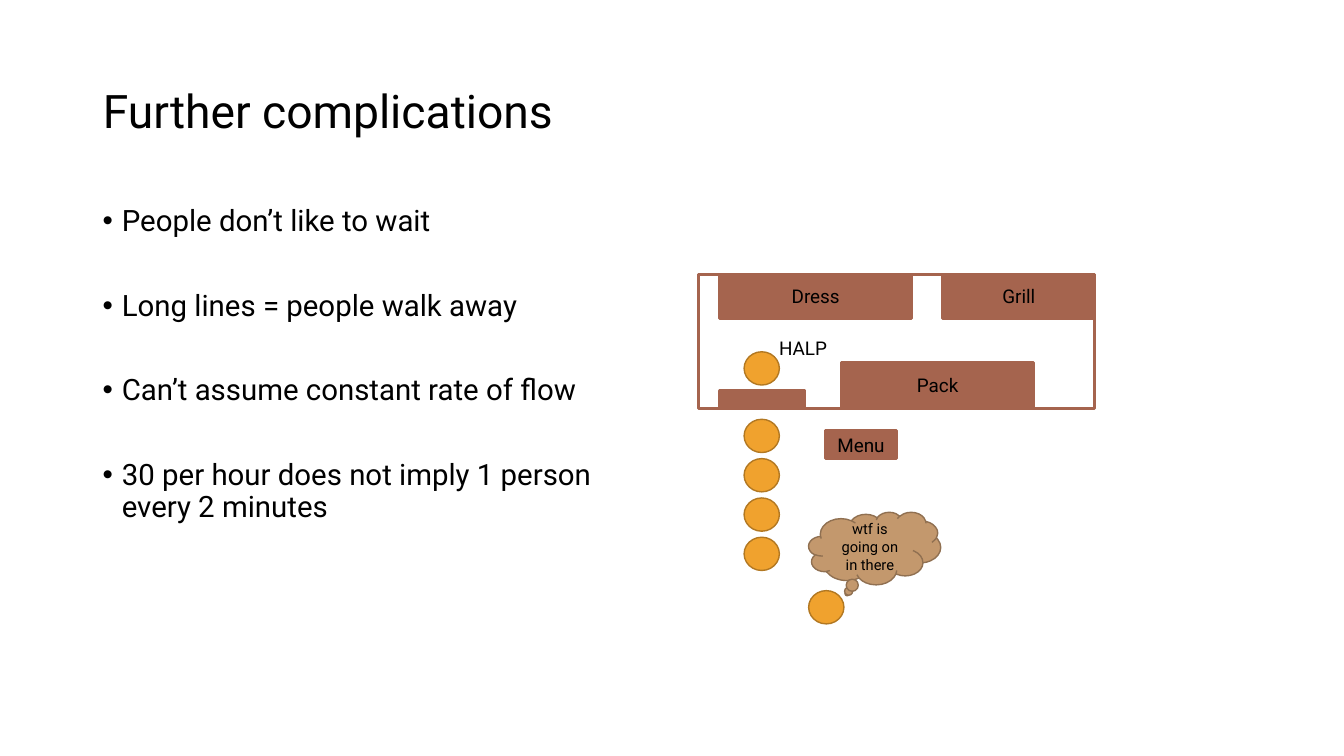
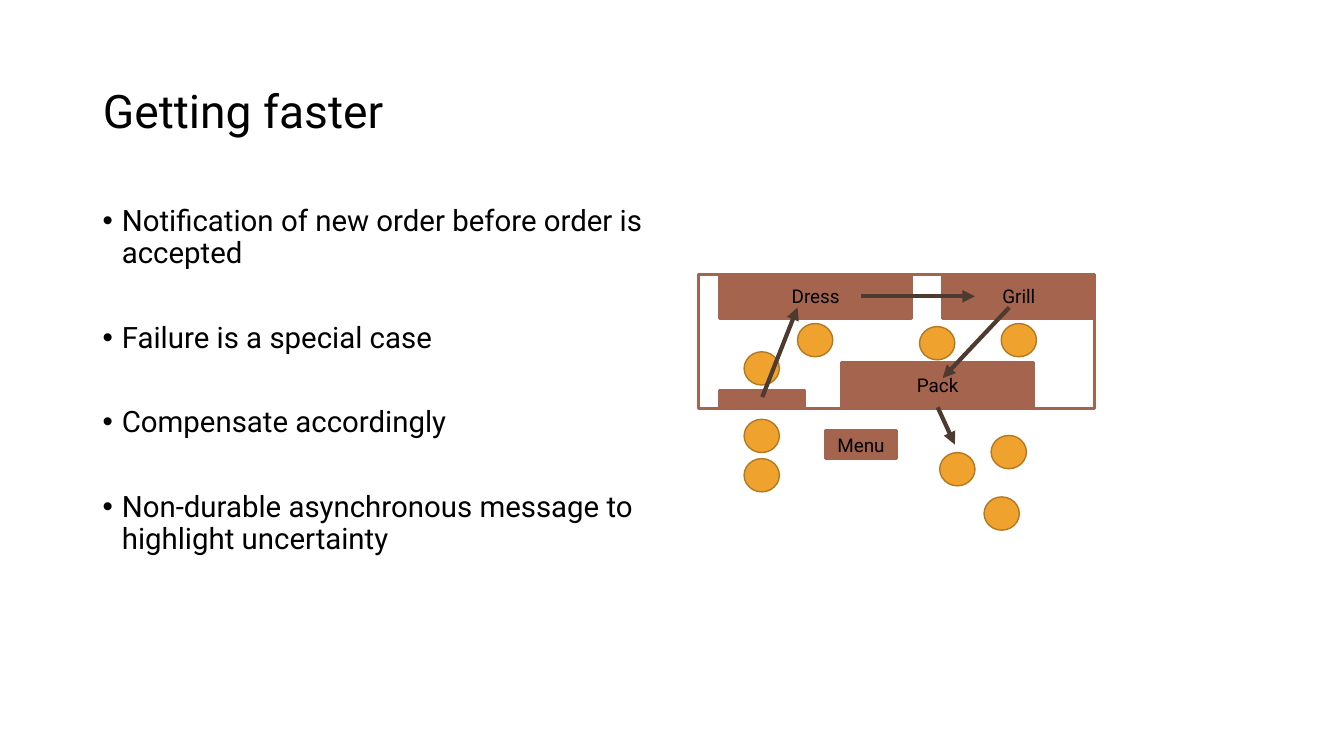
"""Build two slides about queues and messages in a burger kitchen."""
from lxml.etree import SubElement
from pptx import Presentation
from pptx.dml.color import RGBColor
from pptx.enum.shapes import MSO_CONNECTOR, MSO_SHAPE
from pptx.enum.text import MSO_ANCHOR, MSO_AUTO_SIZE, PP_ALIGN
from pptx.oxml.ns import qn
from pptx.util import Inches, Pt

FONT = "Roboto"
COLORS = {
    "text": "000000",
    "floor": "FFFFFF",
    "station": "A5644E",
    "person": "F0A22E",
    "person_edge": "B27822",
    "thought": "C3986D",
    "thought_edge": "907051",
    "arrow": "4E3B30",
}
QUEUE_LEFT, QUEUE_TOP, QUEUE_STEP = 7.38, 4.16, 0.39
STATIONS = {
    "Dress": (7.14, 2.72, 1.9, 0.44),
    "Pack": (8.35, 3.6, 1.9, 0.44),
    "Grill": (9.35, 2.72, 1.51, 0.44),
    "Menu": (8.19, 4.27, 0.7, 0.28),
}


def color(name):
    """Return the named colour."""
    return RGBColor.from_string(COLORS[name])


def write(frame, paragraphs, size, align=PP_ALIGN.LEFT, anchor=MSO_ANCHOR.TOP,
          spacing=None, gap=0, bullet=False, wrap=True):
    """Fill a text frame with formatted paragraphs."""
    frame.auto_size = MSO_AUTO_SIZE.NONE
    frame.word_wrap = wrap
    frame.vertical_anchor = anchor
    for index, text in enumerate(paragraphs):
        para = frame.add_paragraph() if index else frame.paragraphs[0]
        para.alignment = align
        if spacing:
            para.line_spacing = spacing
        if index and gap:
            para.space_before = Pt(gap)
        if bullet:
            add_bullet(para)
        span = para.add_run()
        span.text = text
        span.font.name = FONT
        span.font.size = Pt(size)
        span.font.color.rgb = color("text")


def add_bullet(para):
    """Give a paragraph a hanging round bullet."""
    properties = para._p.get_or_add_pPr()
    properties.set("marL", str(Inches(0.19)))
    properties.set("indent", str(Inches(-0.19)))
    SubElement(properties, qn("a:buFont"), typeface="Arial")
    SubElement(properties, qn("a:buChar"), char="•")


def add_text(page, place, paragraphs, **style):
    """Add a text box."""
    box = page.shapes.add_textbox(*map(Inches, place))
    write(box.text_frame, paragraphs, **style)


def add_box(page, kind, place, fill, edge, weight=1, text="", size=13.5):
    """Add a filled and outlined shape with an optional centred label."""
    box = page.shapes.add_shape(kind, *map(Inches, place))
    box.shadow.inherit = False
    box.fill.solid()
    box.fill.fore_color.rgb = color(fill)
    box.line.color.rgb = color(edge)
    box.line.width = Pt(weight)
    if text:
        write(box.text_frame, [text], size, PP_ALIGN.CENTER, MSO_ANCHOR.MIDDLE)
    return box


def add_station(page, place, fill="station", text=""):
    """Add a rectangle of the kitchen plan."""
    return add_box(page, MSO_SHAPE.RECTANGLE, place, fill, "station", 2.25, text)


def add_person(page, left, top):
    """Add a circle that stands for a person."""
    add_box(page, MSO_SHAPE.OVAL, (left, top, 0.35, 0.33), "person", "person_edge")


def add_arrow(page, start, end, source=None):
    """Add an arrow, joined to the bottom of the source if there is one."""
    arrow = page.shapes.add_connector(MSO_CONNECTOR.STRAIGHT, *map(Inches, start + end))
    if source is not None:
        arrow.begin_connect(source, 2)
    arrow.line.color.rgb = color("arrow")
    arrow.line.width = Pt(3)
    SubElement(arrow.line._get_or_add_ln(), qn("a:tailEnd"), type="triangle")
    SubElement(arrow._element.spPr, qn("a:effectLst"))


def add_page(deck, title, bullets):
    """Add a slide with its title and bullets."""
    page = deck.slides.add_slide(deck.slide_layouts[5])
    heading = page.shapes.title
    heading.left, heading.top, heading.width, heading.height = map(
        Inches, (0.92, 0.4, 11.5, 1.45))
    write(heading.text_frame, [title], 33, anchor=MSO_ANCHOR.MIDDLE, spacing=0.9)
    add_text(page, (0.92, 2, 5.67, 4.76), bullets, size=21, spacing=0.9,
             gap=37.7, bullet=True)
    return page


def add_kitchen(page, queue_length):
    """Draw the kitchen, its cashier and the queue; return the stations."""
    add_station(page, (6.93, 2.72, 3.93, 1.33), fill="floor")
    add_station(page, (7.14, 3.88, 0.84, 0.17))
    add_person(page, QUEUE_LEFT, 3.49)
    for position in range(queue_length):
        add_person(page, QUEUE_LEFT, QUEUE_TOP + position * QUEUE_STEP)
    return {name: add_station(page, place, text=name)
            for name, place in STATIONS.items()}


def add_complications(deck):
    """Add the slide with the long queue."""
    page = add_page(deck, "Further complications", [
        "People don’t like to wait",
        "Long lines = people walk away",
        "Can’t assume constant rate of flow",
        "30 per hour does not imply 1 person every 2 minutes",
    ])
    add_kitchen(page, queue_length=4)
    add_person(page, 8.02, 5.86)
    add_box(page, MSO_SHAPE.CLOUD_CALLOUT, (8.02, 5.08, 1.31, 0.72), "thought",
            "thought_edge", text="wtf is going on in there", size=10.5)
    add_text(page, (7.63, 3.29, 0.7, 0.33), ["HALP"], size=13.5, wrap=False)


def add_faster(deck):
    """Add the slide with the flow of messages."""
    page = add_page(deck, "Getting faster", [
        "Notification of new order before order is accepted",
        "Failure is a special case",
        "Compensate accordingly",
        "Non-durable asynchronous message to highlight uncertainty",
    ])
    stations = add_kitchen(page, queue_length=2)
    staff = [(7.91, 3.21), (9.93, 3.21), (9.12, 3.24)]
    served = [(9.83, 4.32), (9.32, 4.49), (9.76, 4.93)]
    for left, top in staff + served:
        add_person(page, left, top)
    add_arrow(page, (7.56, 3.94), (7.91, 3.05))
    add_arrow(page, (8.54, 2.94), (9.67, 2.94))
    add_arrow(page, (10.01, 3.05), (9.35, 3.75))
    add_arrow(page, (9.3, 4.04), (9.47, 4.41), source=stations["Pack"])


def main():
    """Build and save the deck."""
    deck = Presentation()
    deck.slide_width, deck.slide_height = Inches(13.33), Inches(7.5)
    add_complications(deck)
    add_faster(deck)
    deck.save("out.pptx")


if __name__ == "__main__":
    main()
